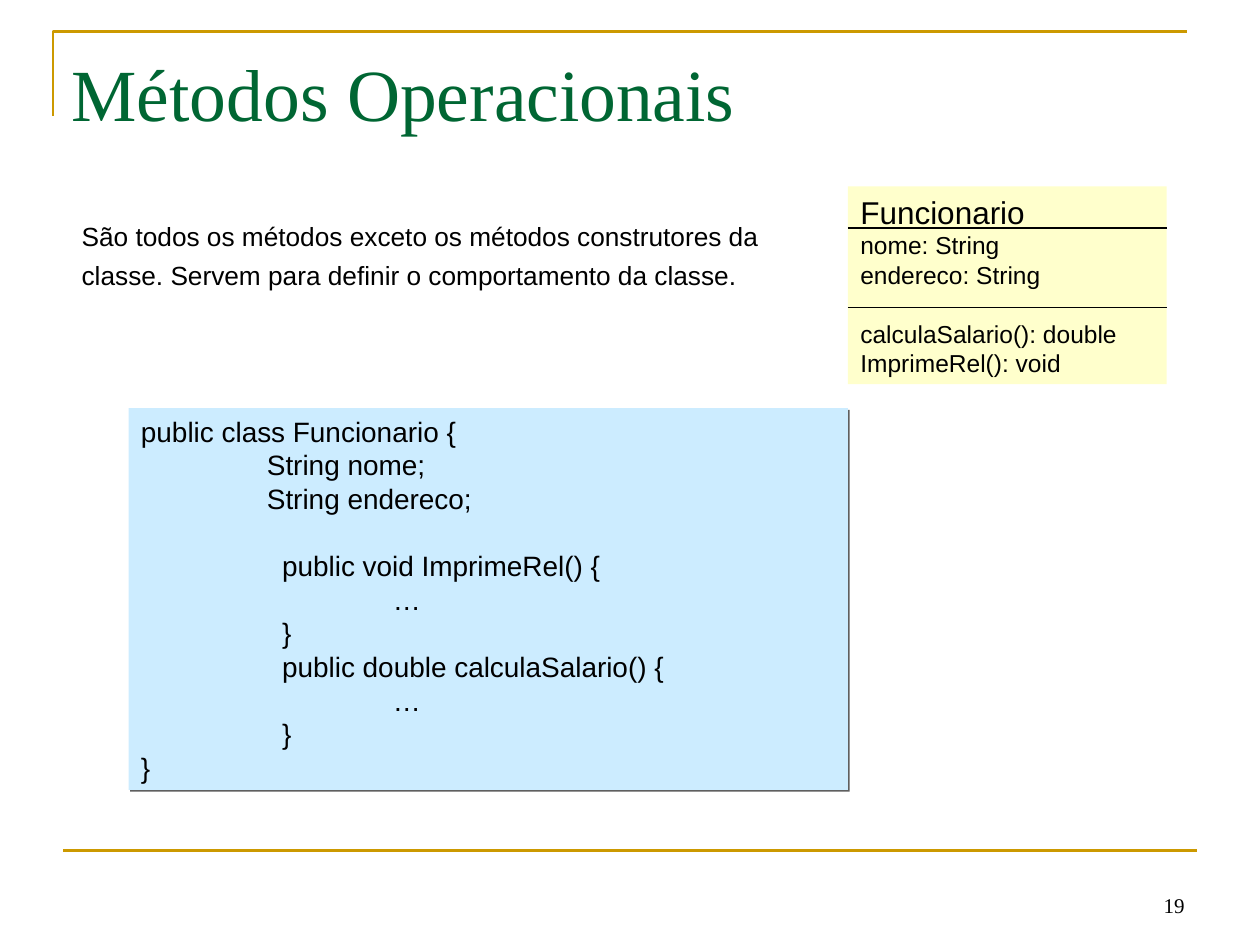
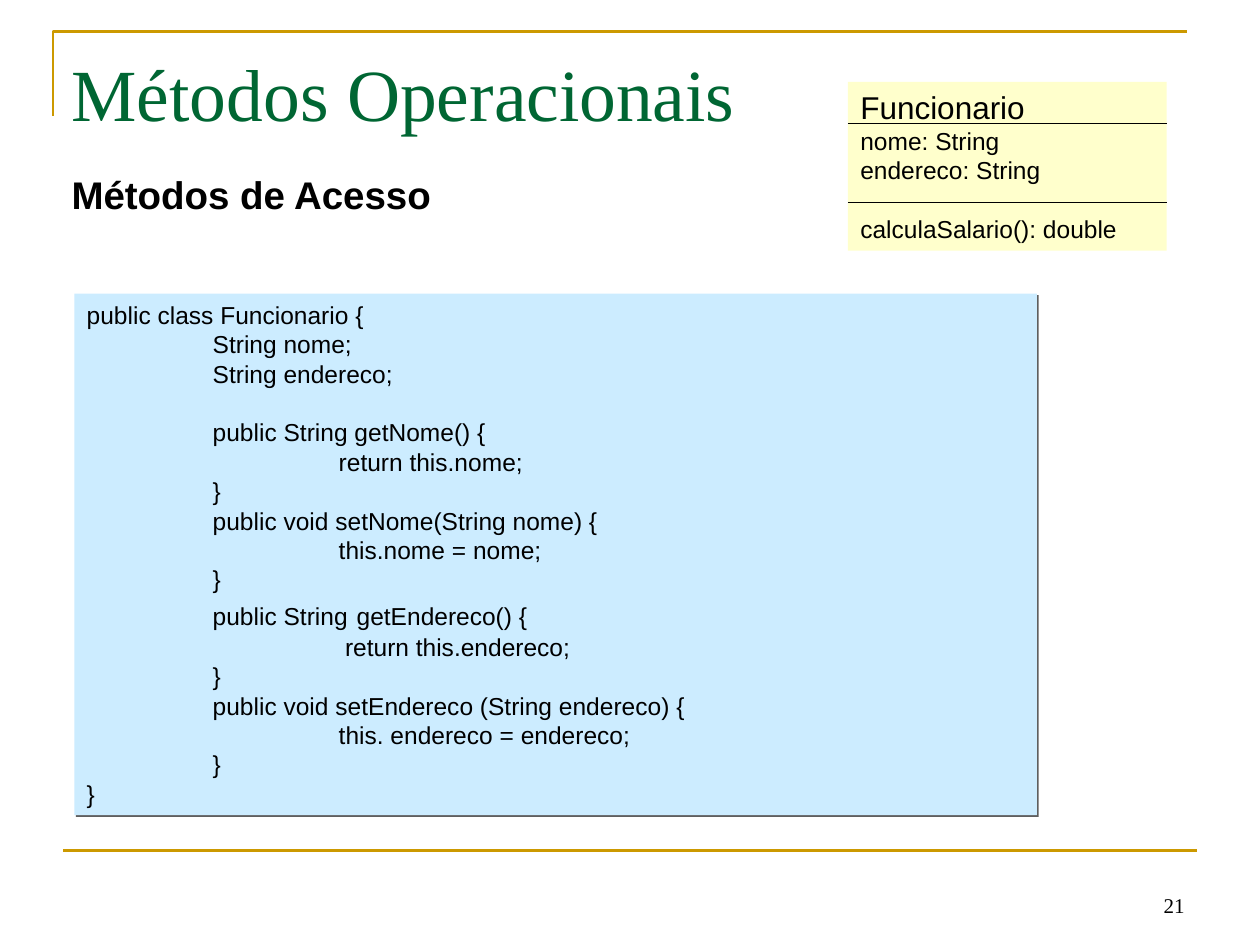
from pptx import Presentation, util as u
from pptx.dml.color import RGBColor
from pptx.enum import shapes, text
from pptx.oxml import parse_xml
from pptx.oxml.ns import nsdecls

HEX = {"gold": "CC9900", "green": "006633", "ink": "000000",
       "sky": "CCECFF", "cream": "FFFFCC", "shade": "5F5F5F"}
RGB = {k: RGBColor.from_string(v) for k, v in HEX.items()}
SANS, SERIF = "Arial", "Times New Roman"
LEAD = 1.2    # height of a gap as a share of the font size
WIDE = 18     # size of text set between bars

deck = Presentation()
deck.slide_width, deck.slide_height = u.Inches(10), u.Inches(7.5)
CELL = deck.slide_width // 100   # grid of 100 columns by 75 rows


def rule(page, x1, y1, x2, y2, tint, width):
    line = page.shapes.add_connector(
        shapes.MSO_CONNECTOR.STRAIGHT,
        *(round(v * CELL) for v in (x1, y1, x2, y2)))
    line.line.color.rgb, line.line.width = RGB[tint], u.Pt(width)
    line._element.spPr.append(parse_xml(f"<a:effectLst {nsdecls('a')}/>"))


def panel(page, box, rows, size, fill=None, font=SANS, tint="ink", bold=False,
          anchor="TOP", align="LEFT", space=0, wrap=True):
    """Write rows of (indent, text[, size]) in a box; None opens a one-line gap."""
    area = [round(v * CELL) for v in box]
    if fill:
        shape = page.shapes.add_shape(shapes.MSO_SHAPE.RECTANGLE, *area)
        shape.shadow.inherit = False
        shape.fill.solid()
        shape.fill.fore_color.rgb = RGB[fill]
        shape.line.fill.background()
    else:
        shape = page.shapes.add_textbox(*area)
    frame = shape.text_frame
    look = {"word_wrap": wrap, "auto_size": text.MSO_AUTO_SIZE.NONE,
            "vertical_anchor": text.MSO_ANCHOR[anchor]}
    for key, val in look.items():
        setattr(frame, key, val)
    gap, para = 0, None
    for row in rows:
        if row is None:
            gap = size * LEAD
            continue
        indent, words, *own = row
        para = frame.add_paragraph() if para else frame.paragraphs[0]
        para.alignment = text.PP_ALIGN[align]
        para.space_before = u.Pt(space + gap)
        para._p.get_or_add_pPr().set("marL", str(u.Inches(indent)))
        gap = 0
        for i, part in enumerate(words.split("|")):
            run = para.add_run()
            run.text = part
            pts = WIDE if i % 2 else own[0] if own else size
            form = {"name": font, "size": u.Pt(pts), "bold": bold}
            for key, val in form.items():
                setattr(run.font, key, val)
            run.font.color.rgb = RGB[tint]
    return shape


FIELDS = [(1, "String nome;"), (1, "String endereco;"), None]
HEAD = [(0, "public class Funcionario {"), *FIELDS]
UML = [(0, "Funcionario", 18), (0, "nome: String"), (0, "endereco: String"),
       None, (0, "calculaSalario(): double")]

pages = [
    {"num": "19",
     "note": {"box": (5.5, 17, 56.3, 7.3), "size": 15, "space": 4, "rows": [
         (0, "São todos os métodos exceto os métodos construtores da"),
         (0, "classe. Servem para definir o comportamento da classe.")]},
     "code": {"box": (10.2, 32.4, 57.1, 30.3), "size": 16, "rows": [
         *HEAD,
         (1.12, "public void ImprimeRel() {"), (2, "…"), (1.12, "}"),
         (1.12, "public double calculaSalario() {"), (2, "…"), (1.12, "}"),
         (0, "}")]},
     "top": 14.8, "tall": 15.7, "uml": [*UML, (0, "ImprimeRel(): void")]},
    {"num": "21",
     "note": {"box": (4.7, 13.1, 34.3, 5.2), "size": 22, "space": 4,
              "bold": True, "rows": [(0, "Métodos de Acesso")]},
     "code": {"box": (5.9, 23.3, 76.4, 41.4), "size": 14, "rows": [
         *HEAD,
         (1, "public String getNome() {"), (2, "return this.nome;"), (1, "}"),
         (1, "public void setNome(String nome) {"),
         (2, "this.nome = nome;"), (1, "}"),
         (1, "public String| |getEndereco() {"),
         (2.05, "return this.endereco;"), (1, "}"),
         (1, "public void setEndereco (String endereco) {"),
         (2, "this. endereco = endereco;"), (1, "}"),
         (0, "}")]},
     "top": 6.5, "tall": 13.4, "uml": UML},
]

for item in pages:
    page = deck.slides.add_slide(deck.slide_layouts[6])

    # Frame: corner line (in tenths of a cell), foot line, page number, title
    pen = page.shapes.build_freeform(42, 92, scale=CELL / 10)
    pen.add_line_segments([(42, 25), (942, 25)], close=False)
    edge = pen.convert_to_shape()
    edge.shadow.inherit = False
    edge.fill.background()
    edge.line.color.rgb, edge.line.width = RGB["gold"], u.Pt(1.5)
    rule(page, 5, 67.5, 95, 67.5, "gold", 1.5)
    panel(page, (71.7, 68.3, 23.3, 5), [(0, item["num"])], 12,
          font=SERIF, anchor="BOTTOM", align="RIGHT")
    panel(page, (4.7, 3, 90, 8.3), [(0, "Métodos Operacionais")], 42,
          font=SERIF, tint="green", anchor="BOTTOM")

    panel(page, wrap=False, **item["note"])

    # Code listing with a thin hard shadow
    code = panel(page, fill="sky", **item["code"])
    code._element.spPr.find("{*}effectLst").append(parse_xml(
        f'<a:outerShdw {nsdecls("a")} dist="{u.Pt(1.4)}" dir="2700000" '
        f'algn="ctr" rotWithShape="0"><a:srgbClr val="{HEX["shade"]}"/>'
        '</a:outerShdw>'))

    # Class diagram
    top = item["top"]
    panel(page, (67.3, top, 25.3, item["tall"]), item["uml"], 14, fill="cream")
    for drop in (3.3, 9.6):
        rule(page, 67.3, top + drop, 92.6, top + drop, "ink", 0.75)

deck.save("out.pptx")
